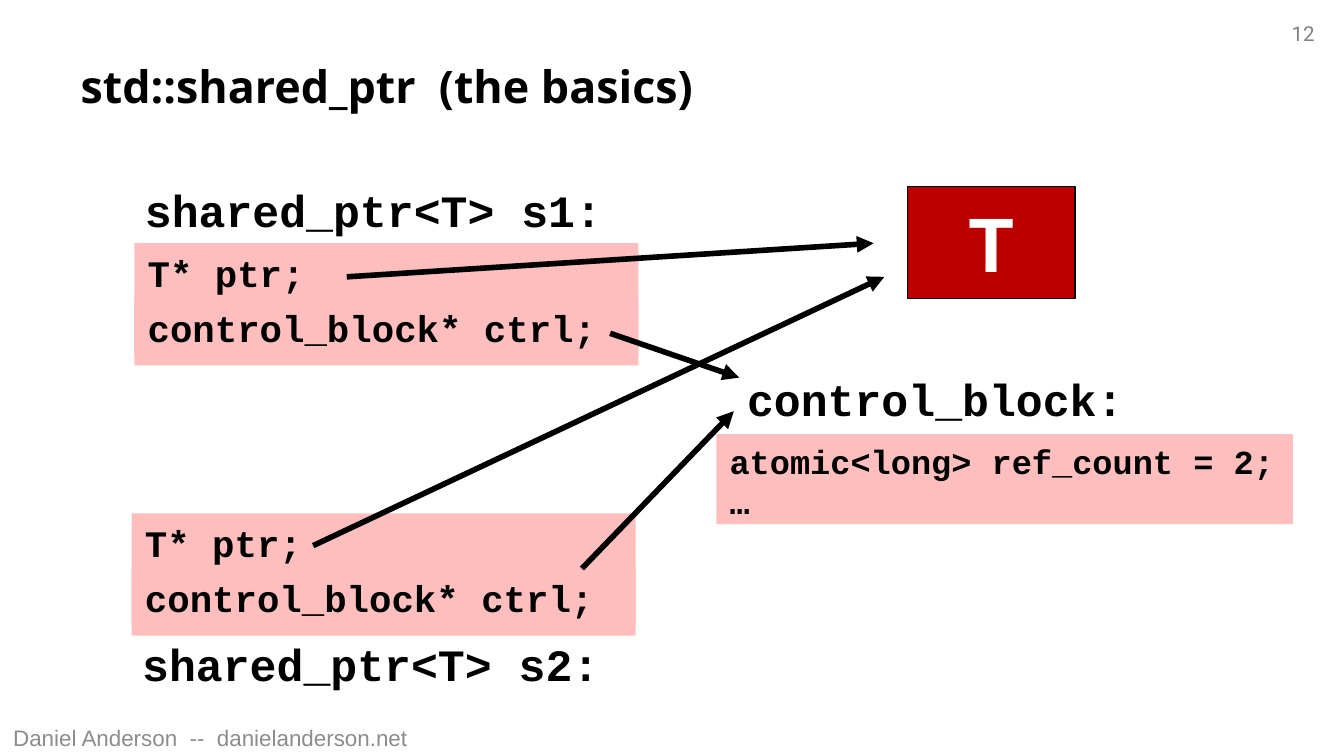
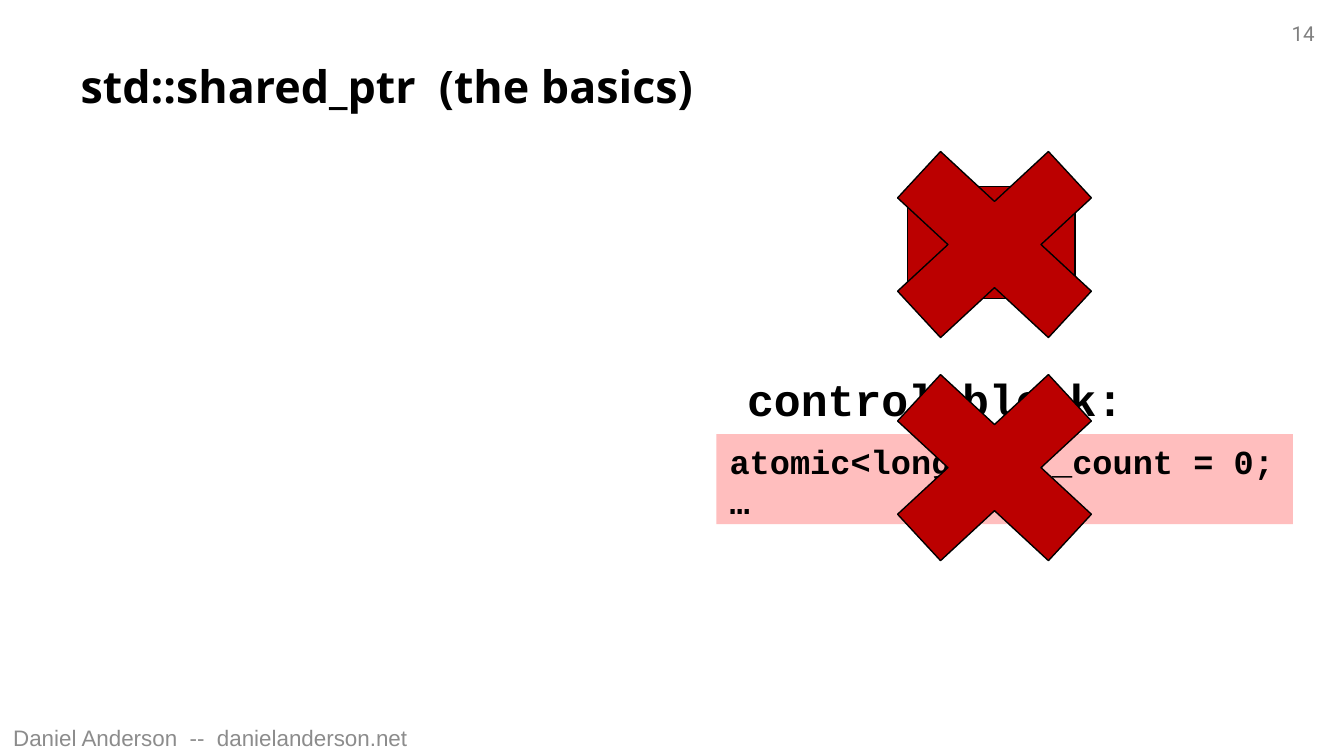
from dataclasses import dataclass

from lxml import etree
from pptx import Presentation
from pptx.dml.color import RGBColor
from pptx.enum.shapes import MSO_CONNECTOR, MSO_SHAPE
from pptx.enum.text import MSO_ANCHOR, PP_ALIGN
from pptx.oxml.ns import qn
from pptx.util import Inches, Pt

LEFT, CENTER, RIGHT = PP_ALIGN.LEFT, PP_ALIGN.CENTER, PP_ALIGN.RIGHT
TOP, MIDDLE = MSO_ANCHOR.TOP, MSO_ANCHOR.MIDDLE
RECTANGLE, CROSS = MSO_SHAPE.RECTANGLE, MSO_SHAPE.MATH_MULTIPLY
STRAIGHT = MSO_CONNECTOR.STRAIGHT


@dataclass(frozen=True)
class Theme:
    black: RGBColor = RGBColor.from_string("000000")
    white: RGBColor = RGBColor.from_string("FFFFFF")
    red: RGBColor = RGBColor.from_string("BB0000")
    pink: RGBColor = RGBColor.from_string("FFBEBE")
    number_gray: RGBColor = RGBColor.from_string("808080")
    footer_gray: RGBColor = RGBColor.from_string("8C8C8C")
    title: tuple = ("Open Sans", 24, True)
    label: tuple = ("Courier New", 24, True)
    member: tuple = ("Courier New", 20, True)
    counter: tuple = ("Courier New", 18, True)
    object: tuple = ("Roboto", 40, True)
    number: tuple = ("Roboto", 11, False)
    footer: tuple = ("Arial", 12, False)


THEME = Theme()


def write(shape, text, style, color=THEME.black, align=LEFT, anchor=TOP, inset=0.05, wrap=True):
    """Fill a shape with text in one type style; inset is the top and bottom margin."""
    frame = shape.text_frame
    frame.text = text
    frame.word_wrap = wrap
    frame.vertical_anchor = anchor
    frame.margin_left = frame.margin_right = Inches(0.1)
    frame.margin_top = frame.margin_bottom = Inches(inset)
    paragraph = frame.paragraphs[0]
    paragraph.alignment = align
    font = paragraph.font
    font.name, size, font.bold = style
    font.size = Pt(size)
    font.color.rgb = color


def add_box(slide, kind, place, fill, outlined=False):
    """Add a flat filled shape, with a thin black outline if asked."""
    shape = slide.shapes.add_shape(kind, *map(Inches, place))
    shape.shadow.inherit = False
    shape.fill.solid()
    shape.fill.fore_color.rgb = fill
    if outlined:
        shape.line.color.rgb = THEME.black
        shape.line.width = Pt(0.75)
    else:
        shape.line.fill.background()
    return shape


# Widescreen page, 16 to 9
presentation = Presentation()
presentation.slide_width = Inches(10)
presentation.slide_height = Inches(10) * 9 // 16
title_only = presentation.slide_layouts[5]

# Parts on both slides: title, page number, footer, object T and control block
slides = []
for page, ref_count in ((12, 2), (14, 0)):
    slide = presentation.slides.add_slide(title_only)
    slides.append(slide)

    title = slide.shapes.title
    title.left, title.top, title.width, title.height = map(Inches, (0.5, 0.4, 9, 0.67))
    write(title, "std::shared_ptr  (the basics)", THEME.title, inset=0.04)

    number = slide.shapes.add_textbox(*map(Inches, (9.33, 0.11, 0.55, 0.29)))
    write(number, str(page), THEME.number, THEME.number_gray, RIGHT)

    footer = slide.shapes.add_textbox(*map(Inches, (0, 5.36, 8.33, 0.26)))
    write(footer, "Daniel Anderson  --  danielanderson.net", THEME.footer,
          THEME.footer_gray, anchor=MIDDLE)

    managed_object = add_box(slide, RECTANGLE, (6.75, 1.39, 1.25, 0.83), THEME.red, outlined=True)
    write(managed_object, "T", THEME.object, THEME.white, CENTER, MIDDLE)

    block_label = slide.shapes.add_textbox(*map(Inches, (5.46, 2.72, 3.02, 0.5)))
    write(block_label, "control_block:", THEME.label, wrap=False)

    block = add_box(slide, RECTANGLE, (5.33, 3.23, 4.29, 0.67), THEME.pink)
    write(block, f"atomic<long> ref_count = {ref_count};\v…", THEME.counter)

shared_slide, released_slide = slides

# First slide: two shared pointers, each with two members
for name, left, top, label_top in (("s1", 1, 1.81, 1.31), ("s2", 0.98, 3.82, 4.69)):
    pointer = add_box(shared_slide, RECTANGLE, (left, top, 3.75, 0.83), THEME.pink)
    write(pointer, "T* ptr;", THEME.member)
    control = add_box(shared_slide, RECTANGLE, (left, top + 0.41, 3.75, 0.5), THEME.pink)
    write(control, "control_block* ctrl;", THEME.member)
    label = shared_slide.shapes.add_textbox(*map(Inches, (left - 0.02, label_top, 3.63, 0.5)))
    write(label, f"shared_ptr<T> {name}:", THEME.label)

# First slide: arrows from the members to what they point at
for ends in (
    (2.58, 2.06, 6.5, 1.81),
    (4.54, 2.48, 5.5, 2.81),
    (2.33, 4.06, 6.58, 2.06),
    (4.33, 4.23, 5.46, 3.06),
):
    arrow = shared_slide.shapes.add_connector(STRAIGHT, *map(Inches, ends))
    arrow.line.color.rgb = THEME.black
    arrow.line.width = Pt(3)
    properties = arrow.element.spPr
    etree.SubElement(properties.find(qn("a:ln")), qn("a:tailEnd"), type="triangle")
    etree.SubElement(properties, qn("a:effectLst"))

# Second slide: crosses over the destroyed object and control block
for top in (0.82, 2.48):
    add_box(released_slide, CROSS, (6.32, top, 2.16, 2), THEME.red, outlined=True)

presentation.save("out.pptx")
